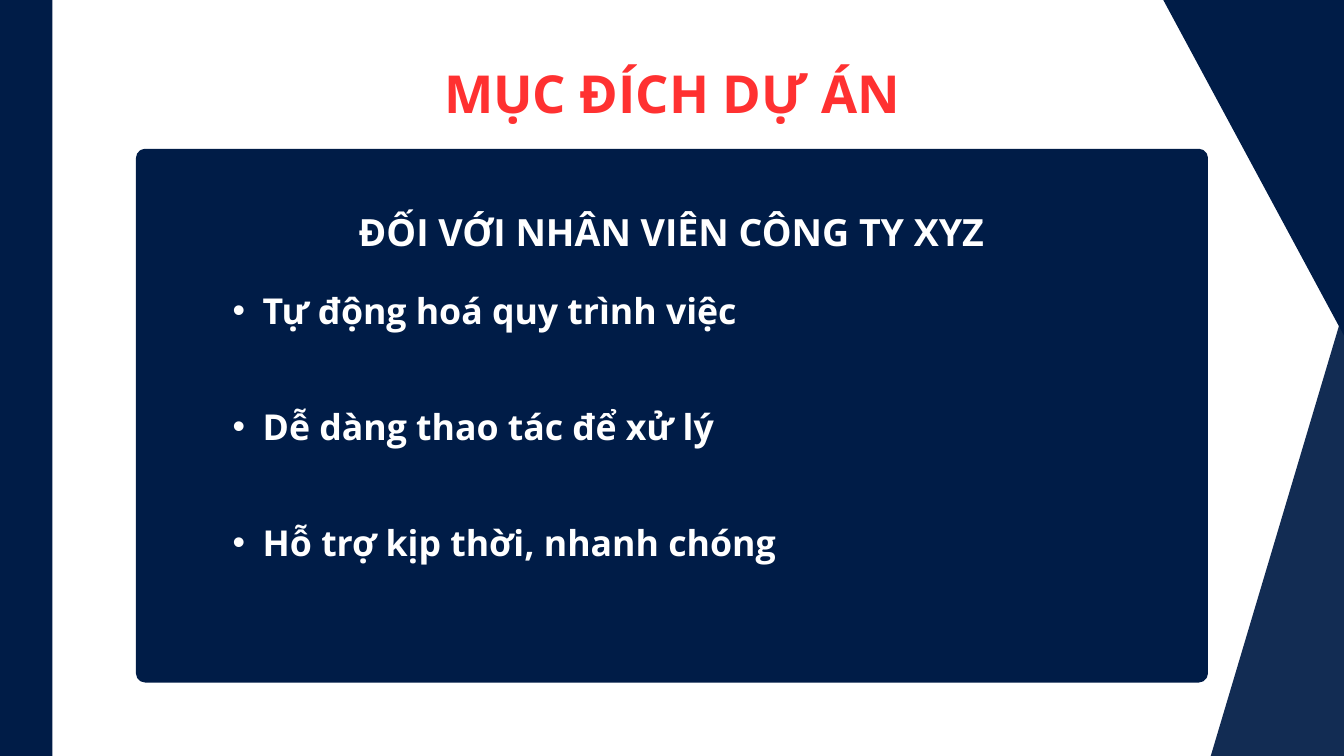
from lxml import etree
from pptx import Presentation
from pptx.dml.color import RGBColor
from pptx.enum import shapes, text
from pptx.oxml import ns
from pptx.util import Inches, Pt

COLORS = {"navy": "001C47", "red": "FF3131", "white": "FFFFFF"}
FONT = "Open Sans"

prs = Presentation()
prs.slide_width, prs.slide_height = Inches(20), Inches(11.25)
slide = prs.slides.add_slide(prs.slide_layouts[1])
title, goals = slide.placeholders


def write(holder, box, lines, size, color, align, gap=0, bullet=None):
    """Place a text holder and fill it, one paragraph per line."""
    holder.left, holder.top, holder.width, holder.height = map(Inches, box)
    frame = holder.text_frame
    frame.word_wrap = True
    frame.auto_size = text.MSO_AUTO_SIZE.SHAPE_TO_FIT_TEXT
    frame.vertical_anchor = text.MSO_ANCHOR.TOP
    frame.margin_left = frame.margin_right = frame.margin_top = frame.margin_bottom = 0
    frame.text = "\n".join(lines)
    for i, paragraph in enumerate(frame.paragraphs):
        paragraph.alignment = align
        paragraph.line_spacing = 1.4
        paragraph.space_before = Pt(gap if i else 0)
        font = paragraph.runs[0].font
        font.name, font.size, font.bold = FONT, Pt(size), True
        font.color.rgb = RGBColor.from_string(COLORS[color])
        if bullet:
            props = paragraph._p.get_or_add_pPr()
            props.set("marL", str(Inches(0.9)))
            props.set("indent", str(Inches(-0.45)))
            etree.SubElement(props, ns.qn("a:buFont"), typeface="Arial")
            etree.SubElement(props, ns.qn("a:buChar"), char=bullet)


# Navy bands and panel: kind, box, rotation, opacity in percent
RECT, ROUNDED = shapes.MSO_SHAPE.RECTANGLE, shapes.MSO_SHAPE.ROUNDED_RECTANGLE
panels = [
    (RECT, (18.36, 4.65, 2.41, 11.25), 16.6, 93),
    (RECT, (18.51, -4.71, 3.46, 13), 331.7, 100),
    (RECT, (0, 0, 0.78, 11.25), 0, 100),
    (ROUNDED, (2.05, 2.24, 15.9, 7.89), 0, 100),
]
for kind, box, rotation, opacity in panels:
    panel = slide.shapes.add_shape(kind, *map(Inches, box))
    panel.rotation = rotation
    panel.shadow.inherit = False
    panel.fill.solid()
    panel.fill.fore_color.rgb = RGBColor.from_string(COLORS["navy"])
    if opacity < 100:
        fill_color = panel._element.spPr.find(".//" + ns.qn("a:srgbClr"))
        etree.SubElement(fill_color, ns.qn("a:alpha"), val=str(opacity * 1000))
    if kind == ROUNDED:
        panel.adjustments[0] = 0.014
        panel.line.color.rgb = RGBColor.from_string(COLORS["navy"])
        panel.line.width = Pt(3.75)
    else:
        panel.line.fill.background()

# Bring the placeholders in front of the panels
for holder in (title, goals):
    slide.shapes._spTree.append(holder._element)

audience = slide.shapes.add_textbox(0, 0, 0, 0)
write(title, (3.92, 0.54, 12.16, 1.05), ["MỤC ĐÍCH DỰ ÁN"],
      56.1, "red", text.PP_ALIGN.CENTER)
write(audience, (4.41, 2.84, 11.17, 0.75), ["ĐỐI VỚI NHÂN VIÊN CÔNG TY XYZ"],
      40.2, "white", text.PP_ALIGN.CENTER)
write(goals, (3.01, 4.04, 13.98, 5.15),
      ["Tự động hoá quy trình việc",
       "Dễ dàng thao tác để xử lý",
       "Hỗ trợ kịp thời, nhanh chóng"],
      38.2, "white", text.PP_ALIGN.LEFT, gap=60, bullet="•")

prs.save("out.pptx")
